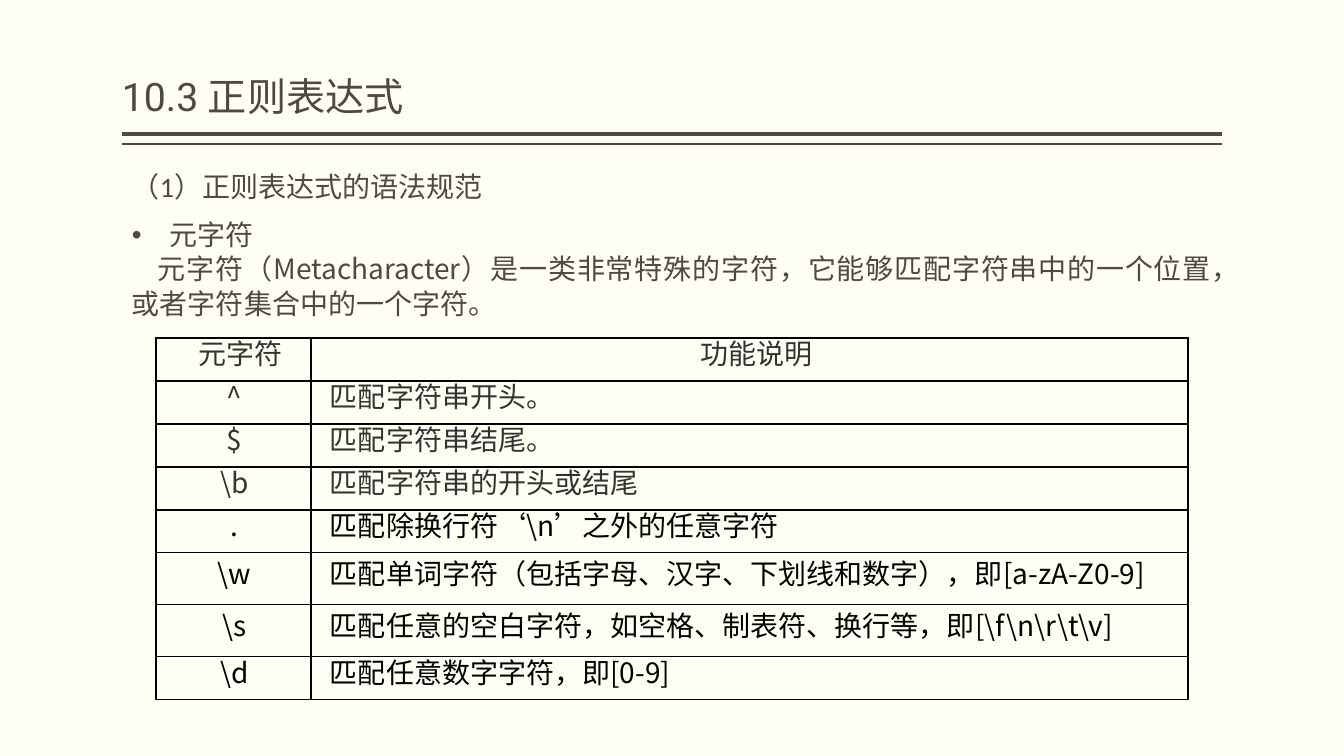
"""Build the slide on regular expression metacharacters."""
from pptx import Presentation
from pptx import util as u
from pptx.dml.color import RGBColor
from pptx.enum import shapes, text
from pptx.oxml.ns import qn
from lxml import etree

BROWN, DARK, BLACK, CJK = "514843", "333333", "000000", "Noto Sans CJK SC"
CENTER, JUSTIFY = text.PP_ALIGN.CENTER, text.PP_ALIGN.JUSTIFY


def px(n):
    return u.Emu(round(n * 914400 / 100.8))


def add_run(p, words, size, font, color):
    r = p.add_run()
    r.text = words
    r.font.size = u.Pt(size)
    r.font.name = font
    r.font.color.rgb = RGBColor.from_string(color)
    etree.SubElement(r._r.get_or_add_rPr(), qn("a:ea")).set("typeface", CJK)


prs = Presentation()
prs.slide_width, prs.slide_height = px(1344), px(756)
s = prs.slides.add_slide(prs.slide_layouts[6])
s.background.fill.solid()
s.background.fill.fore_color.rgb = RGBColor.from_string("FFFFF3")

for y, width in ((134, 3), (144, 1)):
    rule = s.shapes.add_connector(shapes.MSO_CONNECTOR.STRAIGHT, px(122), px(y), px(1222), px(y))
    rule.line.width = u.Pt(width)
    rule.line.color.rgb = RGBColor.from_string(BROWN)
    etree.SubElement(rule._element.spPr, qn("a:effectLst"))

tf = s.shapes.add_textbox(px(122), px(4), px(1100), px(121)).text_frame
tf.word_wrap = True
tf.vertical_anchor = text.MSO_ANCHOR.BOTTOM
tf.margin_left = tf.margin_right = 0
tf.paragraphs[0].line_spacing = 0.9
add_run(tf.paragraphs[0], "10.3 正则表达式", 28, "Roboto", BROWN)

tf = s.shapes.add_textbox(px(122), px(164), px(1100), px(160)).text_frame
tf.word_wrap = True
body = [
    ("（1）正则表达式的语法规范", "Calibri", 10, 0, 0),
    ("元字符", CJK, 10, 38, -38),
    ("元字符（Metacharacter）是一类非常特殊的字符，它能够匹配字符串中的一个位置，"
     "或者字符集合中的一个字符。", CJK, 0, 0, 26),
]
for i, (words, font, before, margin, indent) in enumerate(body):
    p = tf.add_paragraph() if i else tf.paragraphs[0]
    p.alignment = JUSTIFY
    p.space_before = u.Pt(before)
    p.line_spacing = u.Pt(24.4)
    pPr = p._p.get_or_add_pPr()
    pPr.set("marL", str(px(margin)))
    pPr.set("indent", str(px(indent)))
    if margin:
        etree.SubElement(pPr, qn("a:buFont")).set("typeface", "Arial")
        etree.SubElement(pPr, qn("a:buChar")).set("char", "•")
    add_run(p, words, 20, font, BROWN)

rows = [
    ("元字符", "功能说明", DARK, 43),
    ("^", "匹配字符串开头。", DARK, 43),
    ("$", "匹配字符串结尾。", DARK, 43),
    (r"\b", "匹配字符串的开头或结尾", DARK, 43),
    (".", r"匹配除换行符‘\n’之外的任意字符", BLACK, 43),
    (r"\w", "匹配单词字符（包括字母、汉字、下划线和数字），即[a-zA-Z0-9]", BLACK, 52),
    (r"\s", r"匹配任意的空白字符，如空格、制表符、换行等，即[\f\n\r\t\v]", BLACK, 52),
    (r"\d", "匹配任意数字字符，即[0-9]", BLACK, 43),
]
height = sum(row[3] for row in rows)
table = s.shapes.add_table(len(rows), 2, px(156), px(338), px(1032), px(height)).table
table.columns[0].width, table.columns[1].width = px(155), px(877)
for i, (symbol, meaning, color, row_height) in enumerate(rows):
    table.rows[i].height = px(row_height)
    for j, words in enumerate((symbol, meaning)):
        cell = table.cell(i, j)
        cell.vertical_anchor = text.MSO_ANCHOR.MIDDLE
        cell.margin_left = cell.margin_right = px(7)
        cell.margin_top = cell.margin_bottom = 0
        tcPr = cell._tc.get_or_add_tcPr()
        for side in ("a:lnL", "a:lnR", "a:lnT", "a:lnB"):
            ln = etree.SubElement(tcPr, qn(side), w=str(u.Pt(1)))
            fill = etree.SubElement(ln, qn("a:solidFill"))
            etree.SubElement(fill, qn("a:srgbClr"), val=BLACK)
        cell.fill.background()
        p = cell.text_frame.paragraphs[0]
        p.alignment = JUSTIFY if i and j else CENTER
        p.line_spacing = u.Pt(19)
        indent = 14 if i == 0 else (2, 12)[j]
        p._p.get_or_add_pPr().set("indent", str(px(indent)))
        add_run(p, words, 20, CJK, color)

prs.save("out.pptx")
